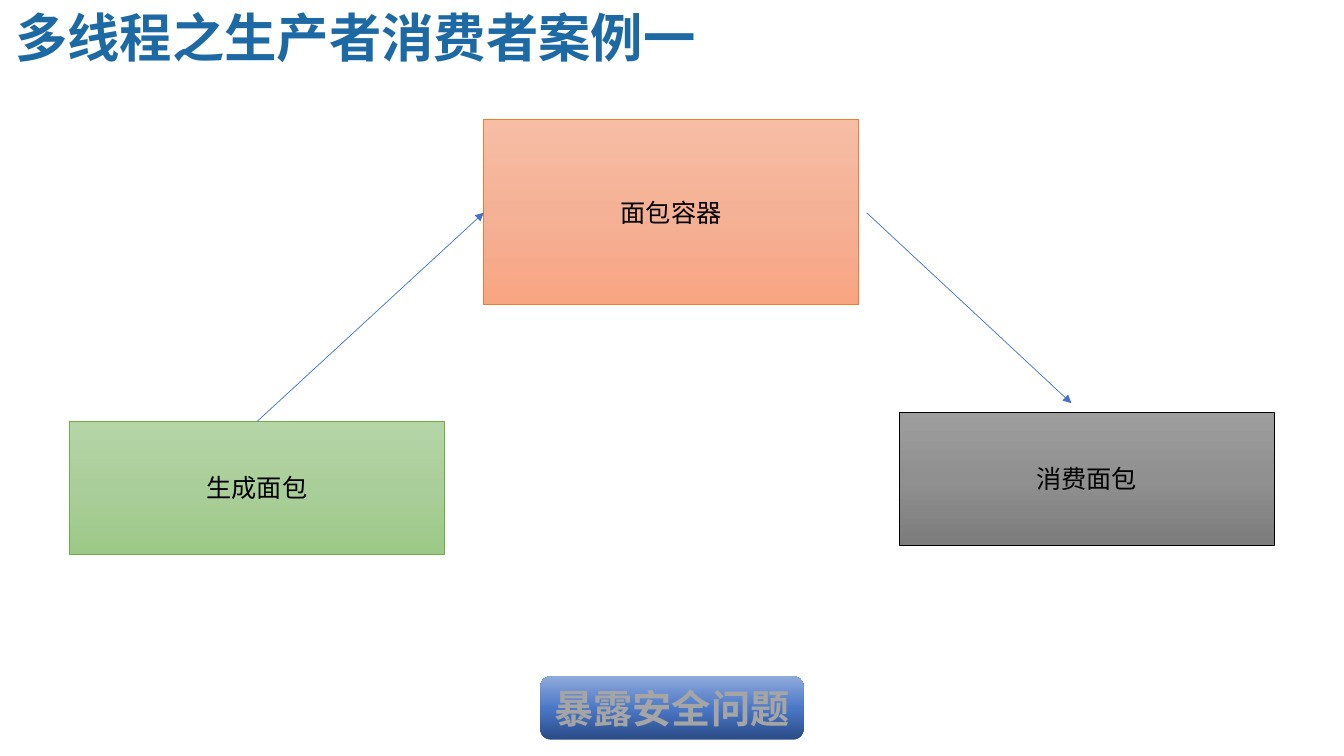
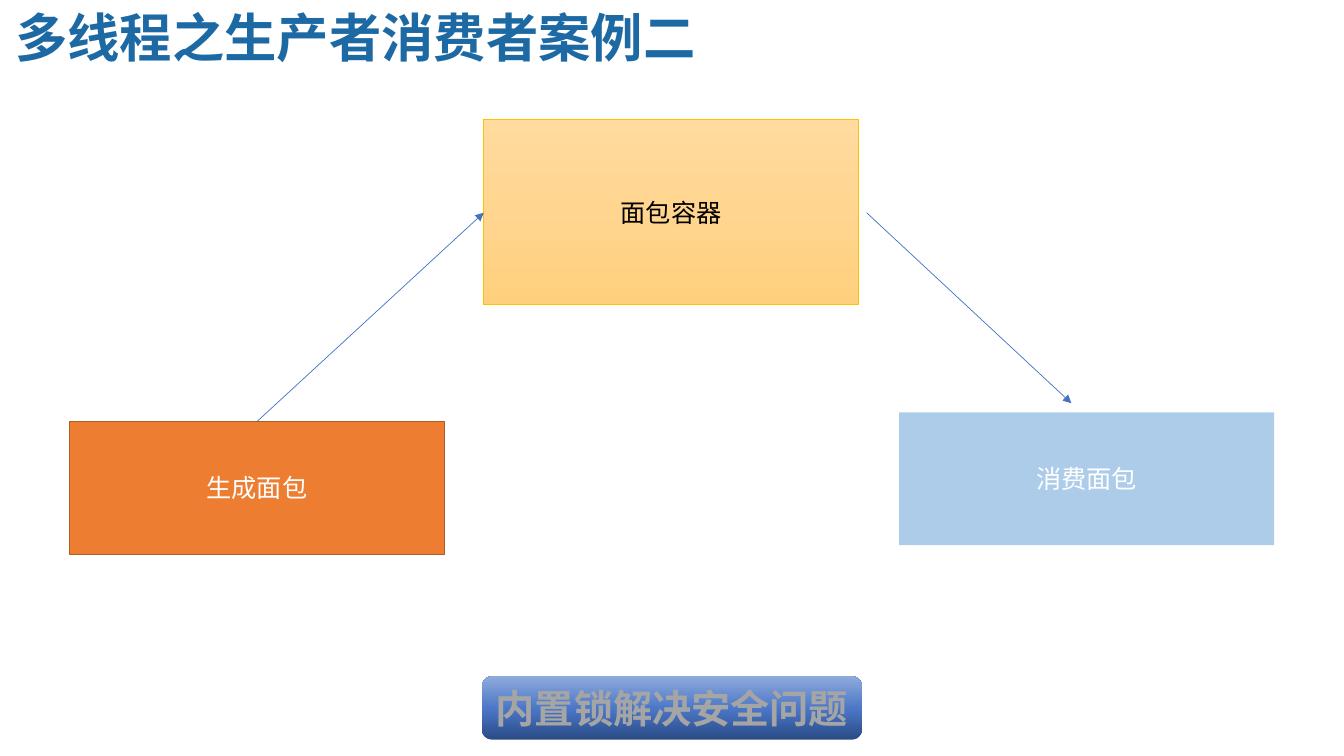
"""Builds two slides on the producer-consumer pattern in multithreading."""
from copy import deepcopy

from lxml import etree
from pptx import Presentation
from pptx import util as u
from pptx.dml.color import RGBColor
from pptx.enum import shapes, text
from pptx.oxml.ns import qn

PAGE_WIDTH, PAGE_HEIGHT = 33.87, 19.05
BOX_WIDTH = 9.45
LATIN_TITLE, CJK = "Arial Narrow", "Noto Sans CJK SC"

BLACK = RGBColor(0x00, 0x00, 0x00)
WHITE = RGBColor(0xFF, 0xFF, 0xFF)
TITLE_BLUE = RGBColor(0x1D, 0x69, 0xA3)
ARROW_BLUE = RGBColor(0x44, 0x72, 0xC4)
PALE_BLUE = RGBColor(0x5B, 0x9B, 0xD5)
ORANGE = RGBColor(0xED, 0x7D, 0x31)
DARK_ORANGE = RGBColor(0xAF, 0x5C, 0x24)
GREEN = RGBColor(0x70, 0xAD, 0x47)
GOLD = RGBColor(0xFF, 0xC0, 0x00)
BADGE_GREY = RGBColor(0xA5, 0xA5, 0xA5)


def gradient(*colours, middle=50):
    """Return three (position, colour) stops from hex colours."""
    positions = (0, middle / 100, 1)
    return [(p, RGBColor.from_string(c)) for p, c in zip(positions, colours)]


PEACH_FADE = gradient("F7BDA5", "F5B196", "F8A582")
GREEN_FADE = gradient("B5D5A7", "AACE9A", "9CC987")
GREY_FADE = gradient("9D9D9D", "909090", "7C7C7C")
GOLD_FADE = gradient("FFDB9E", "FFD590", "FFD07C")
BADGE_FADE = gradient("2A4B86", "4A76C6", "8FAADC", middle=48)


def write(frame, words, size=18, colour=BLACK, bold=False, latin=CJK,
          anchor=text.MSO_ANCHOR.MIDDLE, wrap=True, grow=False):
    """Put one centred, formatted paragraph in a text frame."""
    frame.word_wrap = wrap
    frame.vertical_anchor = anchor
    if grow:
        frame.auto_size = text.MSO_AUTO_SIZE.SHAPE_TO_FIT_TEXT
    para = frame.paragraphs[0]
    para.alignment = text.PP_ALIGN.CENTER
    span = para.add_run()
    span.text = words
    span.font.size = u.Pt(size)
    span.font.bold = bold
    span.font.color.rgb = colour
    span.font.name = latin
    etree.SubElement(span.font._element, qn("a:ea"), typeface=CJK)


class Deck:
    """Holds the presentation, its style and the current page."""

    def __init__(self):
        """Start an empty deck of the right size."""
        self.deck = Presentation()
        self.deck.slide_width = u.Cm(PAGE_WIDTH)
        self.deck.slide_height = u.Cm(PAGE_HEIGHT)
        self.page = None

    def add_page(self, title):
        """Add a blank page with its title."""
        self.page = self.deck.slides.add_slide(self.deck.slide_layouts[6])
        box = self.page.shapes.add_textbox(
            u.Cm(-0.23), u.Cm(0), u.Cm(18.39), u.Cm(1.85))
        write(box.text_frame, title, size=37.4, colour=TITLE_BLUE, bold=True,
              latin=LATIN_TITLE, anchor=text.MSO_ANCHOR.TOP, grow=True)

    def box(self, place, words, fill, line=None, line_width=0.5, alpha=None,
            angle=270, kind=shapes.MSO_SHAPE.RECTANGLE, **text_format):
        """Add a labelled shape; fill is a colour or a list of stops."""
        box = self.page.shapes.add_shape(kind, *map(u.Cm, place))
        box.shadow.inherit = False
        if isinstance(fill, list):
            self.fade(box, fill, angle)
        else:
            box.fill.solid()
            box.fill.fore_color.rgb = fill
        if alpha is not None:
            colour = box._element.spPr.find(
                qn("a:solidFill") + "/" + qn("a:srgbClr"))
            etree.SubElement(colour, qn("a:alpha"), val=str(alpha * 1000))
        if line is None:
            box.line.fill.background()
        else:
            box.line.color.rgb = line
            box.line.width = u.Pt(line_width)
        write(box.text_frame, words, **text_format)

    def fade(self, box, stops, angle):
        """Fill a box with a linear gradient of any number of stops."""
        box.fill.gradient()
        box.fill.gradient_angle = angle
        stop_list = next(box._element.spPr.iter(qn("a:gsLst")))
        while len(stop_list) < len(stops):
            stop_list.append(deepcopy(stop_list[0]))
        for stop, (position, colour) in zip(box.fill.gradient_stops, stops):
            stop.position = position
            stop.color.rgb = colour

    def arrow(self, start, end):
        """Add a thin straight arrow between two points."""
        arrow = self.page.shapes.add_connector(
            shapes.MSO_CONNECTOR.STRAIGHT, *map(u.Cm, start + end))
        arrow.line.color.rgb = ARROW_BLUE
        arrow.line.width = u.Pt(0.5)
        etree.SubElement(arrow.line._ln, qn("a:tailEnd"), type="triangle")
        etree.SubElement(arrow._element.spPr, qn("a:effectLst"))

    def badge(self, words, width):
        """Add the rounded conclusion badge, centred at the foot."""
        self.box(((PAGE_WIDTH - width) / 2, 17.04, width, 1.6), words,
                 BADGE_FADE, angle=90,
                 kind=shapes.MSO_SHAPE.ROUNDED_RECTANGLE, size=28,
                 colour=BADGE_GREY, bold=True, wrap=False, grow=True)

    def flow(self, container, producer, consumer):
        """Draw the bread flow; each argument holds one box's format."""
        self.box((12.19, 3.02, BOX_WIDTH, 4.65), "面包容器", **container)
        self.box((1.75, 10.62, BOX_WIDTH, 3.35), "生成面包", **producer)
        self.box((22.66, 10.39, BOX_WIDTH, 3.35), "消费面包", **consumer)
        self.arrow((6.48, 10.62), (12.19, 5.36))
        self.arrow((21.84, 5.36), (27, 10.16))


def main():
    """Build both pages and save the deck."""
    deck = Deck()

    deck.add_page("多线程之生产者消费者案例一")
    deck.flow(container=dict(fill=PEACH_FADE, line=ORANGE),
              producer=dict(fill=GREEN_FADE, line=GREEN),
              consumer=dict(fill=GREY_FADE, line=BLACK))
    deck.badge("暴露安全问题", 6.63)

    deck.add_page("多线程之生产者消费者案例二")
    deck.flow(container=dict(fill=GOLD_FADE, line=GOLD),
              producer=dict(fill=ORANGE, line=DARK_ORANGE, line_width=1,
                            colour=WHITE),
              consumer=dict(fill=PALE_BLUE, alpha=50, colour=WHITE))
    deck.badge("内置锁解决安全问题", 9.58)

    deck.deck.save("out.pptx")


main()
